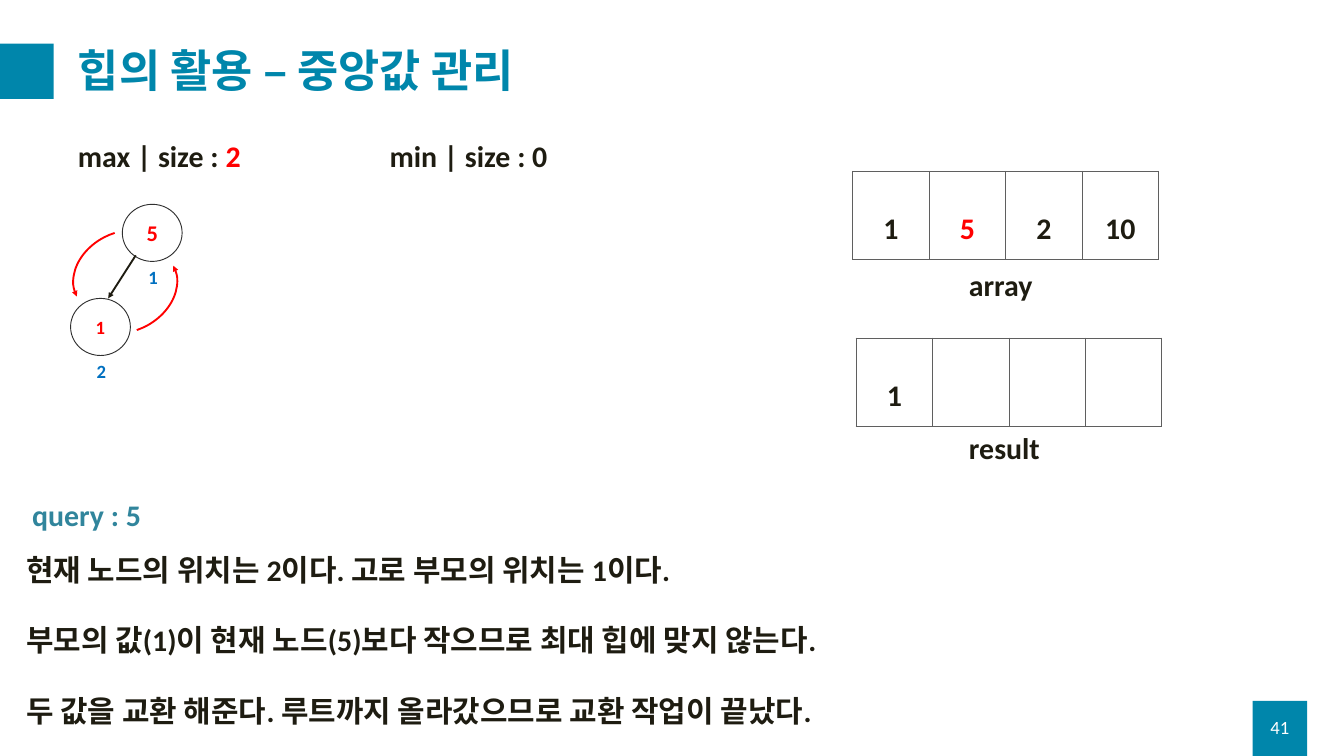
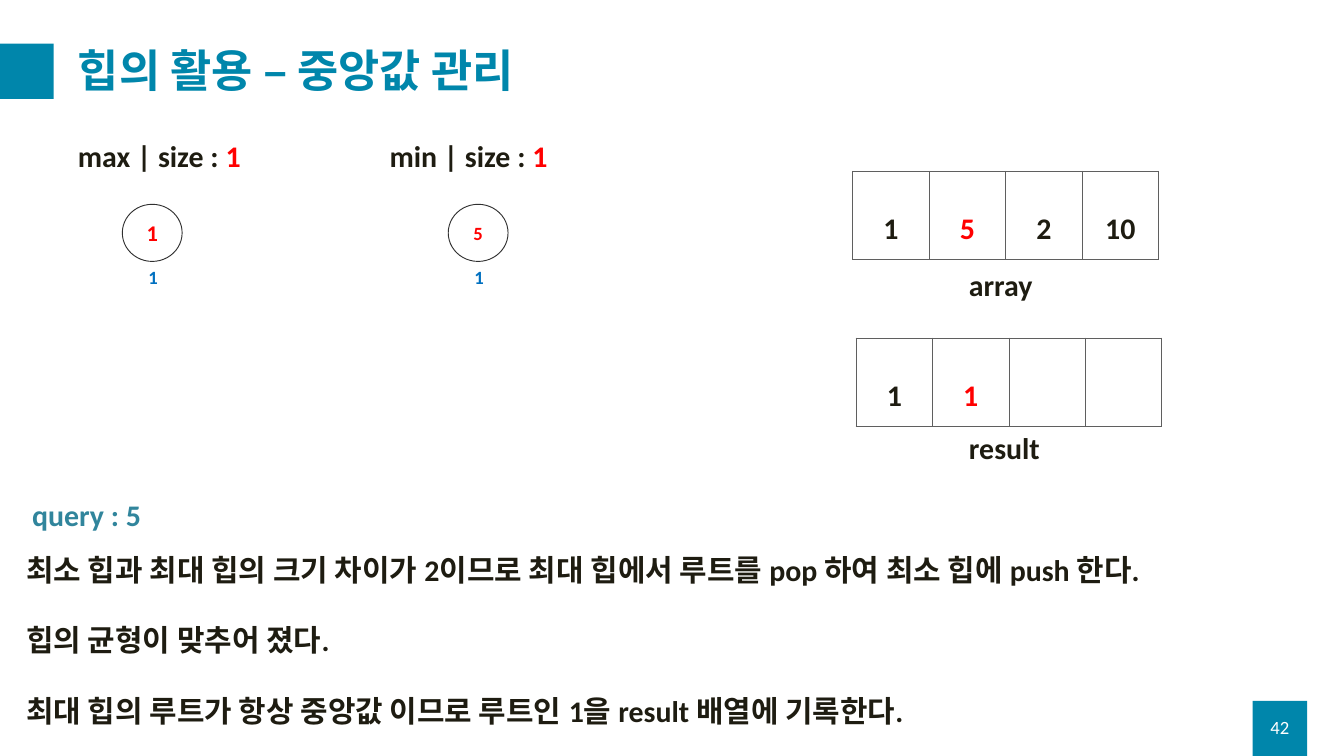
from lxml import etree
from pptx import Presentation
from pptx.dml.color import RGBColor
from pptx.enum.shapes import MSO_CONNECTOR, MSO_SHAPE as SHAPE
from pptx.enum.text import MSO_ANCHOR as ANCHOR, PP_ALIGN as ALIGN
from pptx.oxml.ns import qn
from pptx.util import Pt

PX = 9144  # EMU per px, 100 px to the inch
FONT = "Calibri"
TEAL = RGBColor(0x00, 0x86, 0xAB)
QUERY_TEAL = RGBColor(0x31, 0x85, 0x9C)
INK = RGBColor(0x1E, 0x1C, 0x11)
RED = RGBColor(0xFF, 0x00, 0x00)
BLUE = RGBColor(0x00, 0x70, 0xC0)
WHITE = RGBColor(0xFF, 0xFF, 0xFF)
OUTLINE = RGBColor(0x30, 0x30, 0x30)
GRID = RGBColor(0x5F, 0x5F, 0x5F)

TITLE = "힙의 활용 – 중앙값 관리"
QUERY = "query : 5"
ARRAY = [("1", INK), ("5", RED), ("2", INK), ("10", INK)]
NODE_W, NODE_H = 89, 85
ROOT_Y = 304
MAX_X, MIN_X, CHILD_X, CHILD_Y = 182, 667, 105, 444


def px(*lengths):
    return [length * PX for length in lengths]


def style(paragraph, size, color=INK, bold=True, align=ALIGN.LEFT):
    paragraph.alignment = align
    font = paragraph.font
    font.name, font.size, font.bold = FONT, Pt(size), bold
    font.color.rgb = color


def add_text(slide, box, lines, size=32, color=INK, wrap=True, gap=0, **look):
    frame = slide.shapes.add_textbox(*px(*box)).text_frame
    frame.word_wrap = wrap
    frame.text = "\n".join(lines)
    for index, paragraph in enumerate(frame.paragraphs):
        style(paragraph, size, color, **look)
        if index:
            paragraph.space_before = Pt(gap)
    return frame


def add_shape(slide, kind, box, fill=None, line=None, width=1):
    shape = slide.shapes.add_shape(kind, *px(*box))
    shape.shadow.inherit = False
    if fill is None:
        shape.fill.background()
    else:
        shape.fill.solid()
        shape.fill.fore_color.rgb = fill
    if line is None:
        shape.line.fill.background()
    else:
        shape.line.color.rgb = line
        shape.line.width = Pt(width)
    return shape


def add_arrowhead(stroke, end):
    outline = stroke.element.spPr.find(qn("a:ln"))
    etree.SubElement(outline, qn(f"a:{end}"), type="triangle")


def add_base(prs, number):
    """Title, teal squares and page number."""
    slide = prs.slides.add_slide(prs.slide_layouts[5])
    add_shape(slide, SHAPE.RECTANGLE, (1864, 1043, 81, 82), TEAL)
    add_shape(slide, SHAPE.RECTANGLE, (-1, 65, 81, 82), TEAL)

    title = slide.shapes.title
    title.left, title.top, title.width, title.height = px(106, 50, 1825, 118)
    title.text_frame.text = TITLE
    title.text_frame.vertical_anchor = ANCHOR.MIDDLE
    heading = title.text_frame.paragraphs[0]
    style(heading, 48, TEAL)
    heading.line_spacing = 0.9

    page = add_text(slide, (1864, 1052, 81, 60), [str(number)], 20, WHITE,
                    bold=False, align=ALIGN.CENTER)
    page.vertical_anchor = ANCHOR.MIDDLE
    return slide


def add_heap_size(slide, x, heap, size, color):
    frame = add_text(slide, (x, 200, 300, 64), [f"{heap} | size : "])
    count = frame.paragraphs[0].add_run()
    count.text = size
    count.font.color.rgb = color


def add_node(slide, x, y, value, index, size=20):
    node = add_shape(slide, SHAPE.OVAL, (x, y, NODE_W, NODE_H), WHITE, OUTLINE)
    node.text_frame.text = value
    node.text_frame.vertical_anchor = ANCHOR.MIDDLE
    style(node.text_frame.paragraphs[0], size, RED, align=ALIGN.CENTER)
    add_text(slide, (x + 29, y + 86, 30, 44), [index], 20, BLUE, wrap=False)


def add_edge(slide, start, end):
    edge = slide.shapes.add_connector(MSO_CONNECTOR.STRAIGHT, *px(*start, *end))
    edge.line.color.rgb = INK
    edge.line.width = Pt(2)
    add_arrowhead(edge, "tailEnd")
    etree.SubElement(edge.element.spPr, qn("a:effectLst"))


def add_swap_arc(slide, x, y, rotation):
    arc = add_shape(slide, SHAPE.ARC, (x, y, 118, 153), line=RED, width=2)
    arc.adjustments[1] = 10.15
    arc.rotation = rotation
    add_arrowhead(arc, "headEnd")


def add_borders(cell):
    props = cell._tc.get_or_add_tcPr()
    for side in ("lnL", "lnR", "lnT", "lnB"):
        border = etree.SubElement(props, qn(f"a:{side}"), w=str(Pt(1)))
        fill = etree.SubElement(border, qn("a:solidFill"))
        etree.SubElement(fill, qn("a:srgbClr"), val=str(GRID))


def add_cells(slide, x, y, entries):
    table = slide.shapes.add_table(1, 4, *px(x, y, 455, 131)).table
    table.first_row = table.horz_banding = False
    for cell, (value, color) in zip(table.iter_cells(), entries):
        add_borders(cell)
        cell.fill.solid()
        cell.fill.fore_color.rgb = WHITE
        cell.text = value
        paragraph = cell.text_frame.paragraphs[0]
        style(paragraph, 32, color, align=ALIGN.CENTER)
        paragraph.line_spacing = 2.0


def add_step(prs, number, max_size, min_size, results, explanation):
    """Everything that both steps of the query show."""
    slide = add_base(prs, number)
    add_heap_size(slide, 106, "max", *max_size)
    add_heap_size(slide, 570, "min", *min_size)
    add_text(slide, (1432, 392, 120, 64), ["array"])
    add_text(slide, (1432, 635, 148, 64), ["result"])
    add_text(slide, (38, 734, 673, 64), [QUERY], color=QUERY_TEAL)
    add_text(slide, (29, 816, 1916, 279), explanation, gap=37)
    add_cells(slide, 1269, 255, ARRAY)
    add_cells(slide, 1274, 503, results + [("", INK)] * (4 - len(results)))
    return slide


def main():
    prs = Presentation()
    prs.slide_width, prs.slide_height = px(2000, 1125)

    # Swap the new node with its parent
    swap = add_step(prs, 41, ("2", RED), ("0", INK), [("1", INK)], [
        "현재 노드의 위치는 2이다. 고로 부모의 위치는 1이다.",
        "부모의 값(1)이 현재 노드(5)보다 작으므로 최대 힙에 맞지 않는다.",
        "두 값을 교환 해준다. 루트까지 올라갔으므로 교환 작업이 끝났다.",
    ])
    add_node(swap, MAX_X, ROOT_Y, "5", "1", size=24)
    add_edge(swap, (202, 380), (161, 444))
    add_node(swap, CHILD_X, CHILD_Y, "1", "2")
    add_swap_arc(swap, 132, 356, 61)
    add_swap_arc(swap, 123, 329, 242.2)

    # Balance the two heaps and record the median
    balance = add_step(prs, 42, ("1", RED), ("1", RED), [("1", INK), ("1", RED)], [
        "최소 힙과 최대 힙의 크기 차이가 2이므로 최대 힙에서 루트를 pop 하여 최소 힙에 push 한다.",
        "힙의 균형이 맞추어 졌다.",
        "최대 힙의 루트가 항상 중앙값 이므로 루트인 1을 result 배열에 기록한다.",
    ])
    add_node(balance, MAX_X, ROOT_Y, "1", "1", size=24)
    add_node(balance, MIN_X, ROOT_Y, "5", "1")

    prs.save("out.pptx")


if __name__ == "__main__":
    main()
